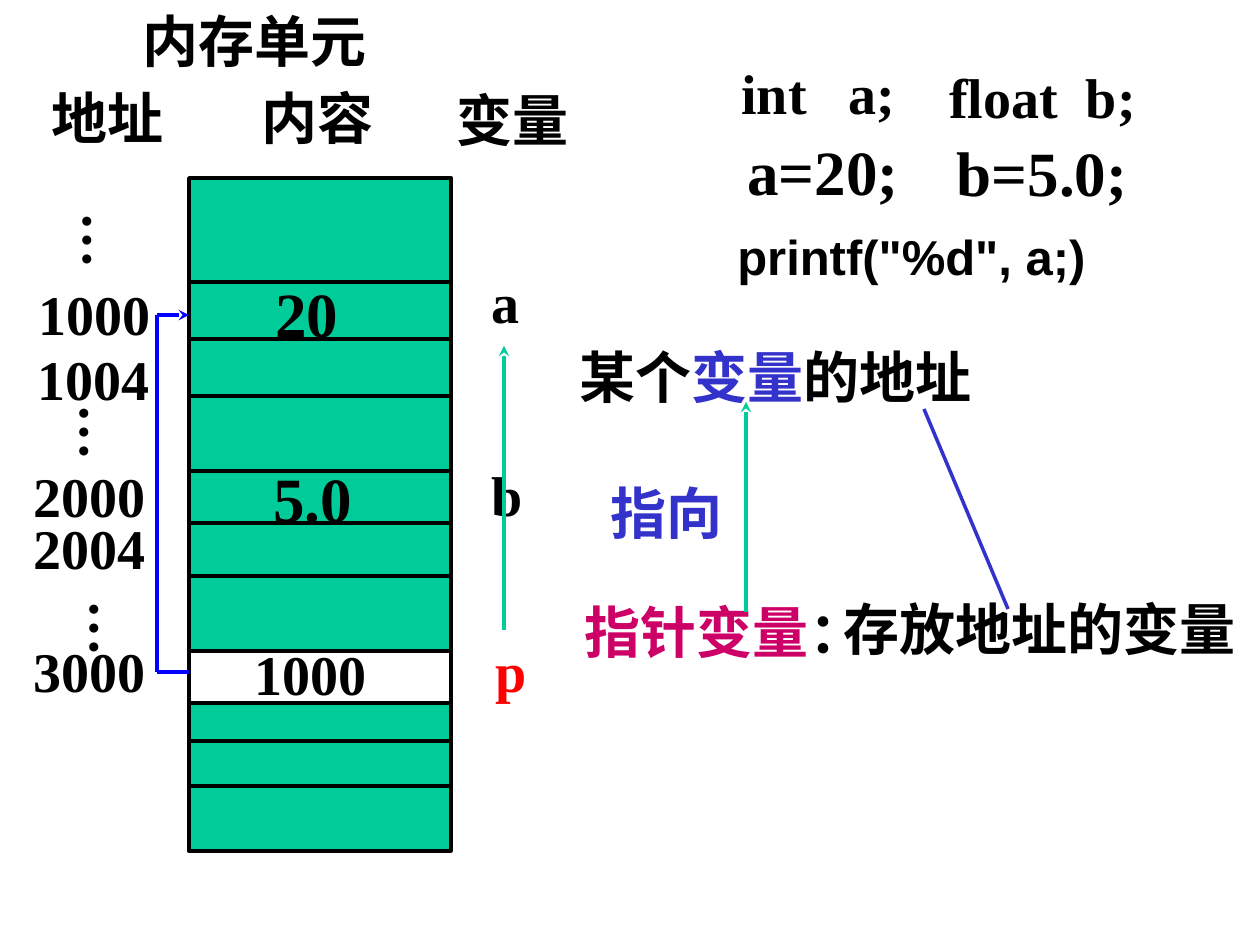
from dataclasses import dataclass
from itertools import pairwise

from lxml import etree
from pptx import Presentation
from pptx import util as u
from pptx.dml.color import RGBColor
from pptx.enum import shapes, text
from pptx.oxml.ns import qn


@dataclass(frozen=True)
class Theme:
    """Colours, fonts and type sizes of the slide."""
    ink: str = "000000"
    memory: str = "00CC99"
    link: str = "0000FF"
    accent: str = "3333CC"
    pointer: str = "CC0066"
    name: str = "FF0000"
    serif: str = "Times New Roman"
    sans: str = "Arial"
    chinese: str = "Noto Sans CJK SC"
    body: int = 32
    value: int = 36
    code: int = 28
    line: int = 2


THEME = Theme()
LEFT, RIGHT = 189, 451


def px(length):
    """Turn pixels into EMU."""
    return u.Emu(round(length * 914400 / 126))


def add_text(page, words, left, top, width, height=79, size=THEME.body, font=THEME.serif,
             color=THEME.ink, centered=True, wrap=False, rotation=0):
    """Add a bold text box; words is a string or a list of (string, colour)."""
    box = page.shapes.add_textbox(px(left), px(top), px(width), px(height))
    box.rotation = rotation
    frame = box.text_frame
    frame.word_wrap = wrap
    frame.auto_size = text.MSO_AUTO_SIZE.SHAPE_TO_FIT_TEXT
    para = frame.paragraphs[0]
    para.alignment = text.PP_ALIGN.CENTER if centered else text.PP_ALIGN.LEFT
    for part, shade in [(words, color)] if isinstance(words, str) else words:
        span = para.add_run()
        span.text = part
        span.font.size = u.Pt(size)
        span.font.bold = True
        span.font.name = font
        span.font.color.rgb = RGBColor.from_string(shade)
        etree.SubElement(span.font._element, qn("a:ea"), typeface=THEME.chinese)
    return box


def add_line(page, start, end, color=THEME.ink, arrow=False):
    """Add a straight line, with an arrowhead at its end on request."""
    line = page.shapes.add_connector(
        shapes.MSO_CONNECTOR.STRAIGHT, *(px(value) for value in (*start, *end)))
    line.line.color.rgb = RGBColor.from_string(color)
    line.line.width = u.Pt(THEME.line)
    if arrow:
        etree.SubElement(line.line._get_or_add_ln(), qn("a:tailEnd"), type="stealth")
    etree.SubElement(line._element.spPr, qn("a:effectLst"))


def add_memory_block(page, top, bottom, dividers):
    """Add a filled stretch of memory cut into cells."""
    block = page.shapes.add_shape(
        shapes.MSO_SHAPE.RECTANGLE, px(LEFT), px(top), px(RIGHT - LEFT), px(bottom - top))
    block.shadow.inherit = False
    block.fill.solid()
    block.fill.fore_color.rgb = RGBColor.from_string(THEME.memory)
    block.line.color.rgb = RGBColor.from_string(THEME.ink)
    block.line.width = u.Pt(THEME.line)
    for y in dividers:
        add_line(page, (LEFT, y), (RIGHT, y))


def add_memory(page):
    """Add the memory column with its headings, addresses, values and names."""
    add_memory_block(page, 178, 651, (282, 339, 396, 471, 523, 576))
    add_memory_block(page, 703, 851, (741, 786))
    for x in (LEFT, RIGHT):
        add_line(page, (x, 651), (x, 703))

    add_text(page, "内存单元", 102, 0, 305, font=THEME.chinese, wrap=True)
    for heading, left, top in (("地址", 39, 77), ("内容", 249, 77), ("变量", 444, 79)):
        add_text(page, heading, left, top, 137)

    for address, left, top in (("1000", 26, 273), ("1004", 25, 338), ("2000", 21, 455),
                               ("2004", 21, 507), ("3000", 21, 630), ("1000", 242, 633)):
        add_text(page, address, left, top, 145, centered=False, wrap=True)
    for left, top in ((36, 163), (33, 355), (43, 551)):
        add_text(page, "…", left, top, 73, 147, centered=False, wrap=True, rotation=90)

    for value, left, top, width in (("20", 258, 268, 98), ("5.0", 255, 453, 115)):
        add_text(page, value, left, top, width, 88, size=THEME.value)
    for name, left, top, color in (("a", 478, 261, THEME.ink), ("b", 479, 454, THEME.ink),
                                   ("p", 483, 630, THEME.name)):
        add_text(page, name, left, top, 55, color=color)


def add_code(page):
    """Add the program lines."""
    add_text(page, "int   a;", 719, 52, 199)
    add_text(page, "float  b;", 913, 56, 259)
    add_text(page, "a=20;", 723, 126, 200, 88, size=THEME.value)
    add_text(page, "b=5.0;", 932, 127, 220, 88, size=THEME.value)
    add_text(page, 'printf("%d", a;)', 715, 220, 393, 72, size=THEME.code, font=THEME.sans)


def add_definition(page):
    """Add the explanation of a pointer variable."""
    add_text(page, [("指针变量", THEME.pointer), ("：", THEME.ink)], 567, 591, 316)
    add_text(page, "存放地址的变量", 825, 588, 430)
    add_text(page, [("某个", THEME.ink), ("变量", THEME.accent), ("的地址", THEME.ink)],
             567, 336, 441, centered=False, wrap=True)
    add_text(page, "指向", 598, 472, 147, font=THEME.sans, color=THEME.accent,
             centered=False, wrap=True)


def add_links(page):
    """Add the lines from pointers to what they refer to."""
    corners = [(LEFT, 672), (157, 672), (157, 315), (LEFT, 315)]
    for start, end in pairwise(corners):
        add_line(page, start, end, THEME.link, arrow=end == corners[-1])
    add_line(page, (1008, 609), (924, 409), THEME.accent)
    add_line(page, (746, 612), (746, 402), THEME.memory, arrow=True)
    add_line(page, (504, 630), (504, 346), THEME.memory, arrow=True)


def main():
    """Build and save the slide."""
    deck = Presentation()
    deck.slide_width, deck.slide_height = px(1260), px(945)
    page = deck.slides.add_slide(deck.slide_layouts[6])
    add_memory(page)
    add_code(page)
    add_definition(page)
    add_links(page)
    deck.save("out.pptx")


if __name__ == "__main__":
    main()
